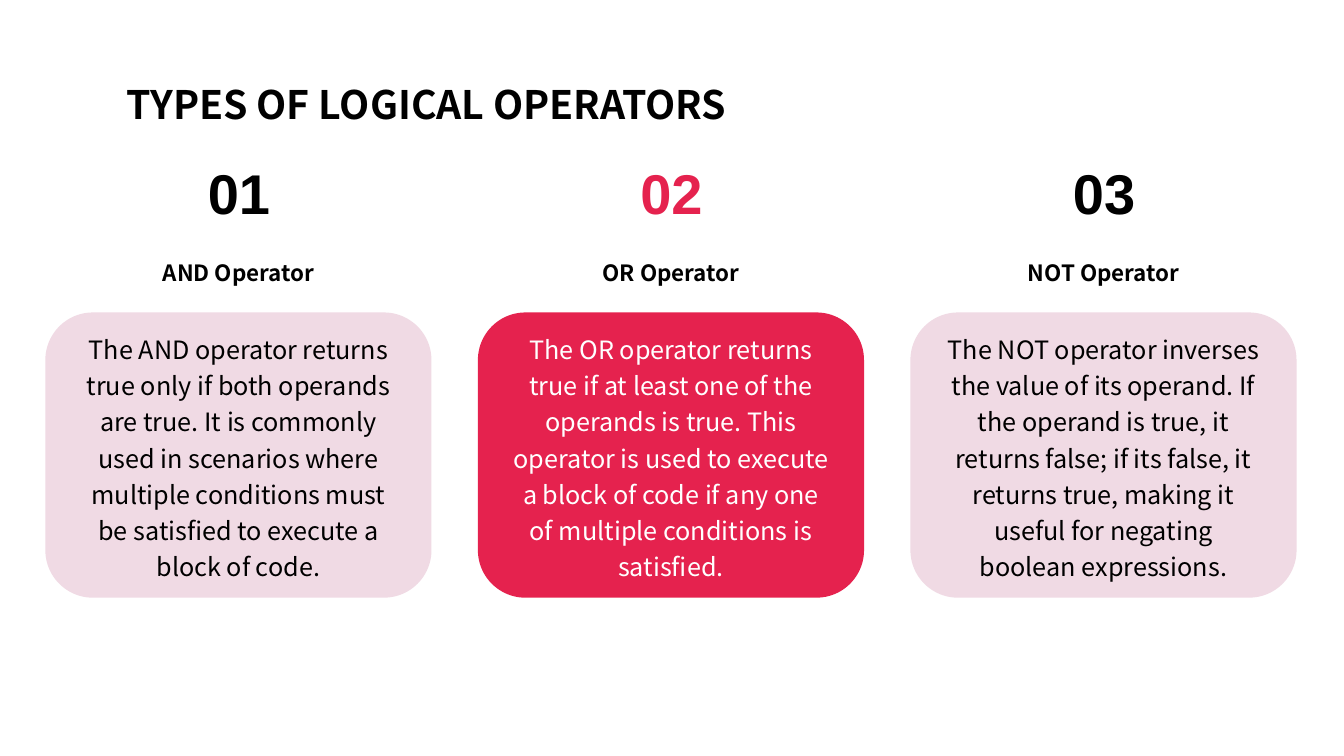
"""Slide on the three logical operators."""
from lxml import etree
from pptx import Presentation
from pptx.dml.color import RGBColor
from pptx.enum import shapes, text
from pptx.oxml import ns
from pptx.util import Inches, Pt

BLACK = RGBColor(0x00, 0x00, 0x00)
WHITE = RGBColor(0xFF, 0xFF, 0xFF)
RED = RGBColor(0xE5, 0x22, 0x4E)
PLUM = RGBColor(0x9D, 0x07, 0x4E)
SANS = "Noto Sans CJK SC"
CENTER, LEFT = text.PP_ALIGN.CENTER, text.PP_ALIGN.LEFT
BOTTOM, MIDDLE = text.MSO_ANCHOR.BOTTOM, text.MSO_ANCHOR.MIDDLE

CARD_W, CARD_H, CARD_STEP = 3.83, 2.83, 4.29
OPERATORS = [
    ("01", "AND Operator",
     "The AND operator returns true only if both operands are true. It is commonly used in "
     "scenarios where multiple conditions must be satisfied to execute a block of code.", False),
    ("02", "OR Operator",
     "The OR operator returns true if at least one of the operands is true. This operator is "
     "used to execute a block of code if any one of multiple conditions is satisfied.", True),
    ("03", "NOT Operator",
     "The NOT operator inverses the value of its operand. If the operand is true, it returns "
     "false; if its false, it returns true, making it useful for negating boolean expressions.",
     False),
]


def write(sp, words, size, color=BLACK, font=SANS, bold=False, align=CENTER,
          anchor=BOTTOM, wrap=True, spacing=None):
    """Put one formatted paragraph into a shape."""
    tf = sp.text_frame
    tf.word_wrap = wrap
    tf.vertical_anchor = anchor
    p = tf.paragraphs[0]
    p.alignment = align
    p.line_spacing = spacing
    r = p.add_run()
    r.text = words
    r.font.name, r.font.size, r.font.bold = font, Pt(size), bold
    r.font.color.rgb = color


def add_label(s, words, left, top, width, height, size, **style):
    """Add a bold text box."""
    sp = s.shapes.add_textbox(Inches(left), Inches(top), Inches(width), Inches(height))
    write(sp, words, size, bold=True, **style)


def add_card(s, left, top, words, active):
    """Add the rounded card, solid when active and pale otherwise."""
    sp = s.shapes.add_shape(shapes.MSO_SHAPE.ROUNDED_RECTANGLE, Inches(left), Inches(top),
                            Inches(CARD_W), Inches(CARD_H))
    sp.shadow.inherit = False
    sp.line.fill.background()
    sp.fill.solid()
    sp.fill.fore_color.rgb = RED if active else PLUM
    if not active:
        color = sp.element.spPr.find(".//" + ns.qn("a:srgbClr"))
        etree.SubElement(color, ns.qn("a:alpha"), val="15000")
    sp.text_frame.margin_left = sp.text_frame.margin_right = Inches(0.2)
    write(sp, words, 18, color=WHITE if active else BLACK, anchor=MIDDLE, spacing=1.2)


def add_operator(s, left, top, number, name, words, active):
    """Add one column: number, operator name and card."""
    center = left + CARD_W / 2
    add_label(s, number, center - 0.41, top, 0.83, 0.77, 40, font="Arial",
              color=RED if active else BLACK, wrap=False)
    add_label(s, name, center - 1.56, top + 1, 3.12, 0.37, 16)
    add_card(s, left, top + 1.58, words, active)


def main():
    """Build and save the slide."""
    prs = Presentation()
    prs.slide_width, prs.slide_height = Inches(13.33), Inches(7.5)
    s = prs.slides.add_slide(prs.slide_layouts[6])
    add_label(s, "TYPES OF LOGICAL OPERATORS", 1.16, 0.64, 10.59, 0.67, 28, align=LEFT)
    for i, operator in enumerate(OPERATORS):
        add_operator(s, 0.45 + i * CARD_STEP, 1.52, *operator)
    prs.save("out.pptx")


if __name__ == "__main__":
    main()
